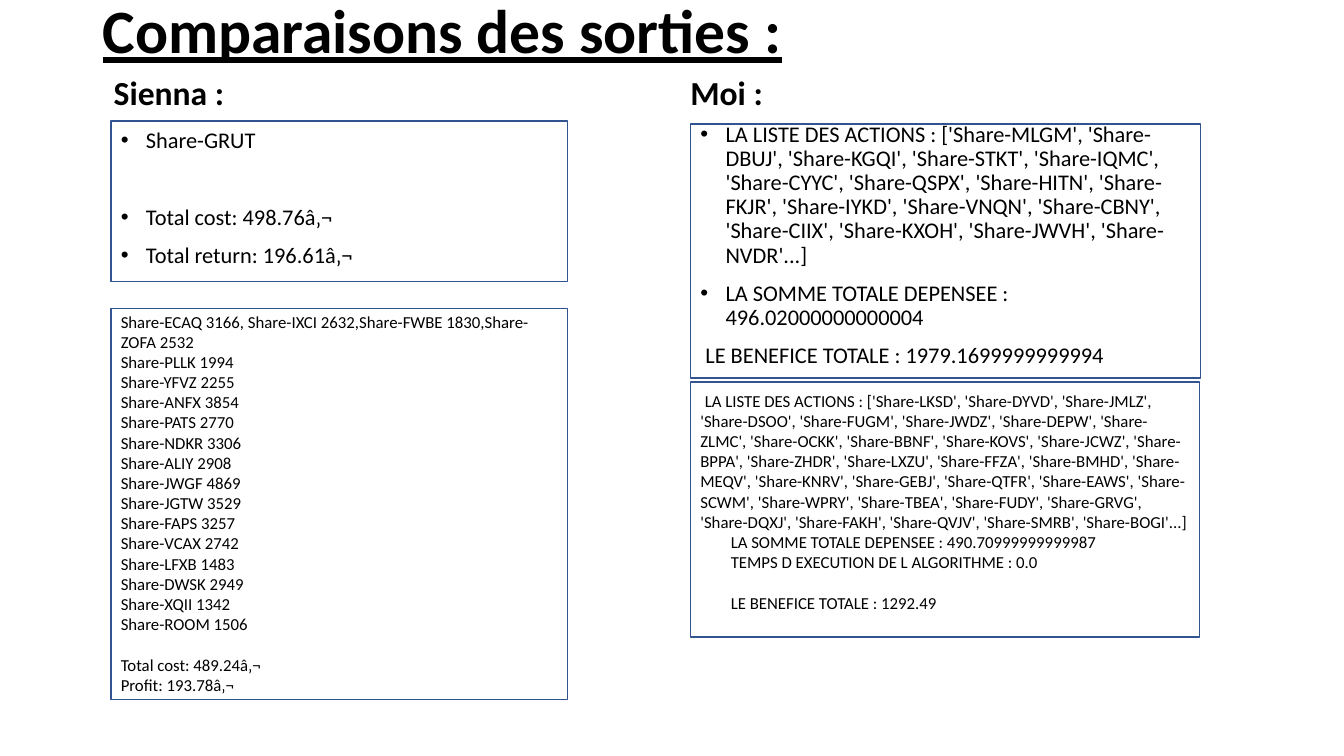
from pptx import Presentation
from pptx.dml.color import RGBColor as Color
from pptx.enum.shapes import MSO_SHAPE as Preset
from pptx.enum.text import MSO_ANCHOR as Anchor
from pptx.oxml.ns import qn
from pptx.util import Pt
from lxml.etree import SubElement

THEME = {
    "font": "Calibri", "ink": Color.from_string("000000"),
    "frame": Color.from_string("325491"), "frame_width": 1,
    "title": 44, "heading": 24, "body": 16, "detail": 12,
}
BODY_GAP = 10
EMPTY_BODY_LINE = 17.6
EMPTY_DETAIL_LINE = 14.65
BULLET_INDENT = 18


def action_list(codes):
    names = ", ".join(f"'Share-{code}'" for code in codes.split())
    return f"LA LISTE DES ACTIONS : [{names}...]"


FIRST_ACTIONS = action_list(
    "MLGM DBUJ KGQI STKT IQMC CYYC QSPX HITN FKJR IYKD VNQN CBNY CIIX KXOH JWVH NVDR")
SECOND_ACTIONS = action_list(
    "LKSD DYVD JMLZ DSOO FUGM JWDZ DEPW ZLMC OCKK BBNF KOVS JCWZ BPPA ZHDR LXZU FFZA "
    "BMHD MEQV KNRV GEBJ QTFR EAWS SCWM WPRY TBEA FUDY GRVG DQXJ FAKH QVJV SMRB BOGI")
SIENNA_SHARES = [
    ("PLLK", 1994), ("YFVZ", 2255), ("ANFX", 3854), ("PATS", 2770), ("NDKR", 3306),
    ("ALIY", 2908), ("JWGF", 4869), ("JGTW", 3529), ("FAPS", 3257), ("VCAX", 2742),
    ("LFXB", 1483), ("DWSK", 2949), ("XQII", 1342), ("ROOM", 1506),
]

BULLET = {"bullet": True}
RESULT = {"left": 21.7}
DETAIL_BREAK = {"before": EMPTY_DETAIL_LINE}

TEXTS = [
    ((66.24, -28.08, 828, 104.4), "title", Anchor.MIDDLE, 3.6,
     [("Comparaisons des sorties :", {})]),
    ((74.16, 51.84, 406.08, 32.4), "heading", Anchor.BOTTOM, 3.6, [("Sienna :", {})]),
    ((79.2, 88.56, 406.08, 164.16), "body", Anchor.TOP, 3.6, [
        ("Share-GRUT", BULLET),
        ("Total cost: 498.76â‚¬", {**BULLET, "before": 2 * BODY_GAP + EMPTY_BODY_LINE}),
        ("Total return: 196.61â‚¬", BULLET),
    ]),
    ((486, 19.44, 408.24, 64.8), "heading", Anchor.BOTTOM, 3.6, [("Moi :", {})]),
    ((493.2, 84.24, 375.84, 175.68), "body", Anchor.TOP, 3.6, [
        (FIRST_ACTIONS, BULLET),
        ("LA SOMME TOTALE DEPENSEE : 496.02000000000004", BULLET),
        ("LE BENEFICE TOTALE : 1979.1699999999994", {"first": 3.6}),
    ]),
    ((79.2, 218.88, 326.16, 280.8), "detail", Anchor.TOP, 3.6, [
        ("Share-ECAQ 3166, Share-IXCI 2632,Share-FWBE 1830,Share-ZOFA 2532", {}),
        *[(f"Share-{code} {value}", {}) for code, value in SIENNA_SHARES],
        ("Total cost: 489.24â‚¬", DETAIL_BREAK),
        ("Profit: 193.78â‚¬", {}),
    ]),
    ((493.2, 272.88, 364.32, 182.16), "detail", Anchor.TOP, 6, [
        (SECOND_ACTIONS, {"first": 3.2}),
        ("LA SOMME TOTALE DEPENSEE : 490.70999999999987", RESULT),
        ("TEMPS D EXECUTION DE L ALGORITHME : 0.0", RESULT),
        ("LE BENEFICE TOTALE : 1292.49", {**RESULT, **DETAIL_BREAK}),
    ]),
]
FRAMES = [
    (79.2, 86.4, 326.16, 114.48),
    (493.2, 88.56, 364.32, 181.44),
    (493.2, 272.88, 363.6, 182.16),
    (79.2, 220.32, 326.16, 279.36),
]


def apply(target, values):
    for name, value in values.items():
        setattr(target, name, value)


def write_paragraph(para, text, role, layout):
    span = para.add_run()
    span.text = text
    apply(span.font, {"name": THEME["font"], "size": Pt(THEME[role]),
                      "bold": role in ("title", "heading"), "underline": role == "title"})
    span.font.color.rgb = THEME["ink"]
    if role != "detail":
        para.line_spacing = 0.9
    gap = BODY_GAP if role == "body" else 0
    para.space_before = Pt(layout.get("before", gap))
    bullet = layout.get("bullet", False)
    left = BULLET_INDENT if bullet else layout.get("left", 0)
    first = -BULLET_INDENT if bullet else layout.get("first", 0)
    properties = para._p.get_or_add_pPr()
    properties.set("marL", str(Pt(left)))
    properties.set("indent", str(Pt(first)))
    if bullet:
        SubElement(properties, qn("a:buFont")).set("typeface", "Arial")
        SubElement(properties, qn("a:buChar")).set("char", "•")


def add_text(page, place, role, anchor, top_inset, paragraphs):
    box = page.shapes.add_textbox(*map(Pt, place))
    frame = box.text_frame
    apply(frame, {"word_wrap": True, "vertical_anchor": anchor, "margin_top": Pt(top_inset)})
    for index, (text, layout) in enumerate(paragraphs):
        para = frame.add_paragraph() if index else frame.paragraphs[0]
        write_paragraph(para, text, role, layout)


def add_frame(page, place):
    outline = page.shapes.add_shape(Preset.RECTANGLE, *map(Pt, place))
    outline.shadow.inherit = False
    outline.fill.background()
    outline.line.color.rgb = THEME["frame"]
    outline.line.width = Pt(THEME["frame_width"])


deck = Presentation()
apply(deck, {"slide_width": Pt(960), "slide_height": Pt(540)})
page = deck.slides.add_slide(deck.slide_layouts[6])
for text_block in TEXTS:
    add_text(page, *text_block)
for place in FRAMES:
    add_frame(page, place)
deck.save("out.pptx")
